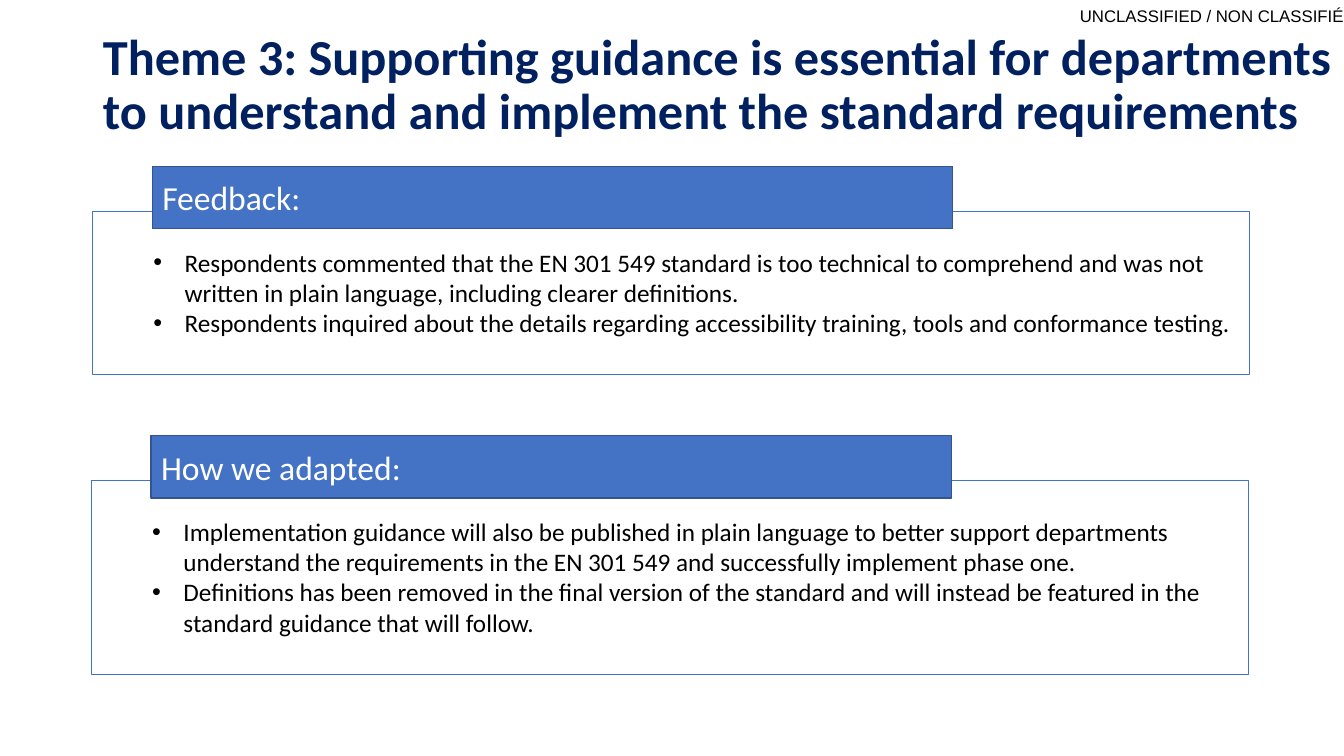
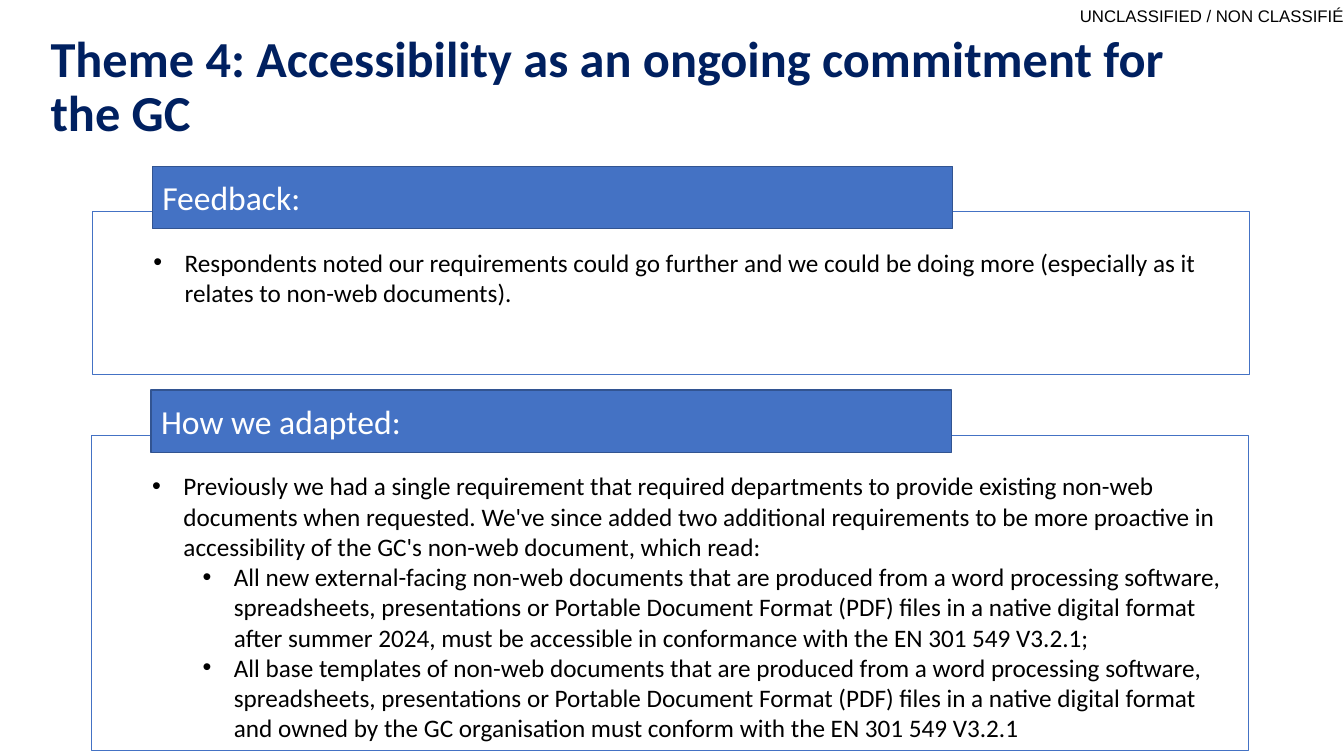
from dataclasses import dataclass

from lxml.etree import SubElement
from pptx import Presentation
from pptx.dml.color import RGBColor as Rgb
from pptx.enum.shapes import MSO_SHAPE as Shape
from pptx.enum.text import MSO_ANCHOR as Anchor, MSO_AUTO_SIZE as AutoSize, PP_ALIGN as Align
from pptx.oxml.ns import qn
from pptx.util import Cm, Pt


@dataclass(frozen=True)
class Theme:
    navy: Rgb = Rgb(0x00, 0x20, 0x60)
    blue: Rgb = Rgb(0x44, 0x72, 0xC4)
    edge: Rgb = Rgb(0x32, 0x54, 0x91)
    white: Rgb = Rgb(0xFF, 0xFF, 0xFF)
    black: Rgb = Rgb(0x00, 0x00, 0x00)
    font: str = "Calibri"
    marking_font: str = "Arial"
    title_size: Pt = Pt(36)
    heading_size: Pt = Pt(24)
    body_size: Pt = Pt(18)
    marking_size: Pt = Pt(12)


THEME = Theme()
SLIDE_W, SLIDE_H = 33.87, 19.05
PANEL_W = 29.16
BAR_W, BAR_H = 20.17, 1.57
BAR_INDENT, BAR_RISE = 1.5, 1.14
HANGING = 0.79
FIRST_INDENT, LEVEL_STEP = 2.06, 1.27

# Titles: left, top, width. Panels: left, top, height. Points: level, text.
THEMES = [
    {
        "title": "Theme 3: Supporting guidance is essential for departments "
                 "to understand and implement the standard requirements",
        "title_box": (2.34, 1.02, 32.03),
        "panels": [
            ("Feedback:", (2.34, 5.33, 4.11), [
                (0, "Respondents commented that the EN 301 549 standard is too technical to "
                    "comprehend and was not written in plain language, including clearer "
                    "definitions."),
                (0, "Respondents inquired about the details regarding accessibility training, "
                    "tools and conformance testing."),
            ]),
            ("How we adapted:", (2.31, 12.12, 4.88), [
                (0, "Implementation guidance will also be published in plain language to better "
                    "support departments understand the requirements in the EN 301 549 and "
                    "successfully implement phase one."),
                (0, "Definitions has been removed in the final version of the standard and will "
                    "instead be featured in the standard guidance that will follow."),
            ]),
        ],
    },
    {
        "title": "Theme 4: Accessibility as an ongoing commitment for the GC",
        "title_box": (1.02, 1.07, 29.2),
        "panels": [
            ("Feedback:", (2.34, 5.33, 4.11), [
                (0, "Respondents noted our requirements could go further and we could be doing "
                    "more (especially as it relates to non-web documents)."),
            ]),
            ("How we adapted:", (2.31, 10.97, 7.95), [
                (0, "Previously we had a single requirement that required departments to provide "
                    "existing non-web documents when requested. We've since added two additional "
                    "requirements to be more proactive in accessibility of the GC's non-web "
                    "document, which read:"),
                (1, "All new external-facing non-web documents that are produced from a word "
                    "processing software, spreadsheets, presentations or Portable Document "
                    "Format (PDF) files in a native digital format after summer 2024, must be "
                    "accessible in conformance with the EN 301 549 V3.2.1;"),
                (1, "All base templates of non-web documents that are produced from a word "
                    "processing software, spreadsheets, presentations or Portable Document "
                    "Format (PDF) files in a native digital format and owned by the GC "
                    "organisation must conform with the EN 301 549 V3.2.1"),
            ]),
        ],
    },
]


def style(paragraph, size, color, font=THEME.font, bold=False, align=Align.LEFT):
    paragraph.alignment = align
    paragraph.font.name = font
    paragraph.font.size = size
    paragraph.font.bold = bold
    paragraph.font.color.rgb = color


def place(part, left, top, width, height):
    part.left, part.top = Cm(left), Cm(top)
    part.width, part.height = Cm(width), Cm(height)


def add_bullet(paragraph, level):
    paragraph.level = level
    props = paragraph._p.get_or_add_pPr()
    props.set("marL", str(Cm(FIRST_INDENT + level * LEVEL_STEP)))
    props.set("indent", str(-Cm(HANGING)))
    SubElement(props, qn("a:buFont")).set("typeface", "Arial")
    SubElement(props, qn("a:buChar")).set("char", "•")


def add_marking(layout, slide):
    """Put the classification marking on the layout, so that every slide shows it."""
    marking = slide.shapes.add_textbox(Cm(SLIDE_W - 7.68), 0, Cm(7.68), Cm(0.79))
    frame = marking.text_frame
    frame.word_wrap = True
    frame.vertical_anchor = Anchor.MIDDLE
    frame.margin_left = frame.margin_right = frame.margin_top = frame.margin_bottom = 0
    frame.text = "UNCLASSIFIED / NON CLASSIFIÉ"
    style(frame.paragraphs[0], THEME.marking_size, THEME.black,
          font=THEME.marking_font, align=Align.RIGHT)
    layout.shapes.element.append(marking.element)


def fill_title(title, text, left, top, width):
    place(title, left, top, width, 3.68)
    frame = title.text_frame
    frame.text = text
    frame.auto_size = AutoSize.NONE
    frame.vertical_anchor = Anchor.MIDDLE
    frame.margin_bottom = Cm(1.5)
    frame.paragraphs[0].line_spacing = 0.9
    style(frame.paragraphs[0], THEME.title_size, THEME.navy, bold=True)


def fill_points(body, points):
    body.line.color.rgb = THEME.blue
    body.line.width = Pt(0.75)
    frame = body.text_frame
    frame.auto_size = AutoSize.NONE
    frame.vertical_anchor = Anchor.TOP
    frame.margin_top = Cm(0.89)
    frame.text = "\n".join(text for _, text in points)
    for paragraph, (level, _) in zip(frame.paragraphs, points):
        paragraph.space_before = Pt(0)
        add_bullet(paragraph, level)
        style(paragraph, THEME.body_size, THEME.black)


def add_heading_bar(slide, heading, left, top):
    bar = slide.shapes.add_shape(Shape.RECTANGLE, Cm(left), Cm(top), Cm(BAR_W), Cm(BAR_H))
    bar.shadow.inherit = False
    bar.fill.solid()
    bar.fill.fore_color.rgb = THEME.blue
    bar.line.color.rgb = THEME.edge
    bar.line.width = Pt(1)
    bar.text_frame.text = heading
    style(bar.text_frame.paragraphs[0], THEME.heading_size, THEME.white)


def add_panel(slide, body, heading, box, points):
    """Outline a list and lay its heading bar over the top edge."""
    left, top, height = box
    place(body, left, top, PANEL_W, height)
    fill_points(body, points)
    add_heading_bar(slide, heading, left + BAR_INDENT, top - BAR_RISE)


def add_theme_slide(deck, layout, content):
    slide = deck.slides.add_slide(layout)
    title, *bodies = slide.placeholders
    fill_title(title, content["title"], *content["title_box"])
    for body, panel in zip(bodies, content["panels"]):
        add_panel(slide, body, *panel)
    return slide


def main():
    deck = Presentation()
    deck.slide_width, deck.slide_height = Cm(SLIDE_W), Cm(SLIDE_H)
    two_lists = deck.slide_layouts.get_by_name("Two Content")
    slides = [add_theme_slide(deck, two_lists, content) for content in THEMES]
    add_marking(two_lists, slides[0])
    deck.save("out.pptx")


if __name__ == "__main__":
    main()
